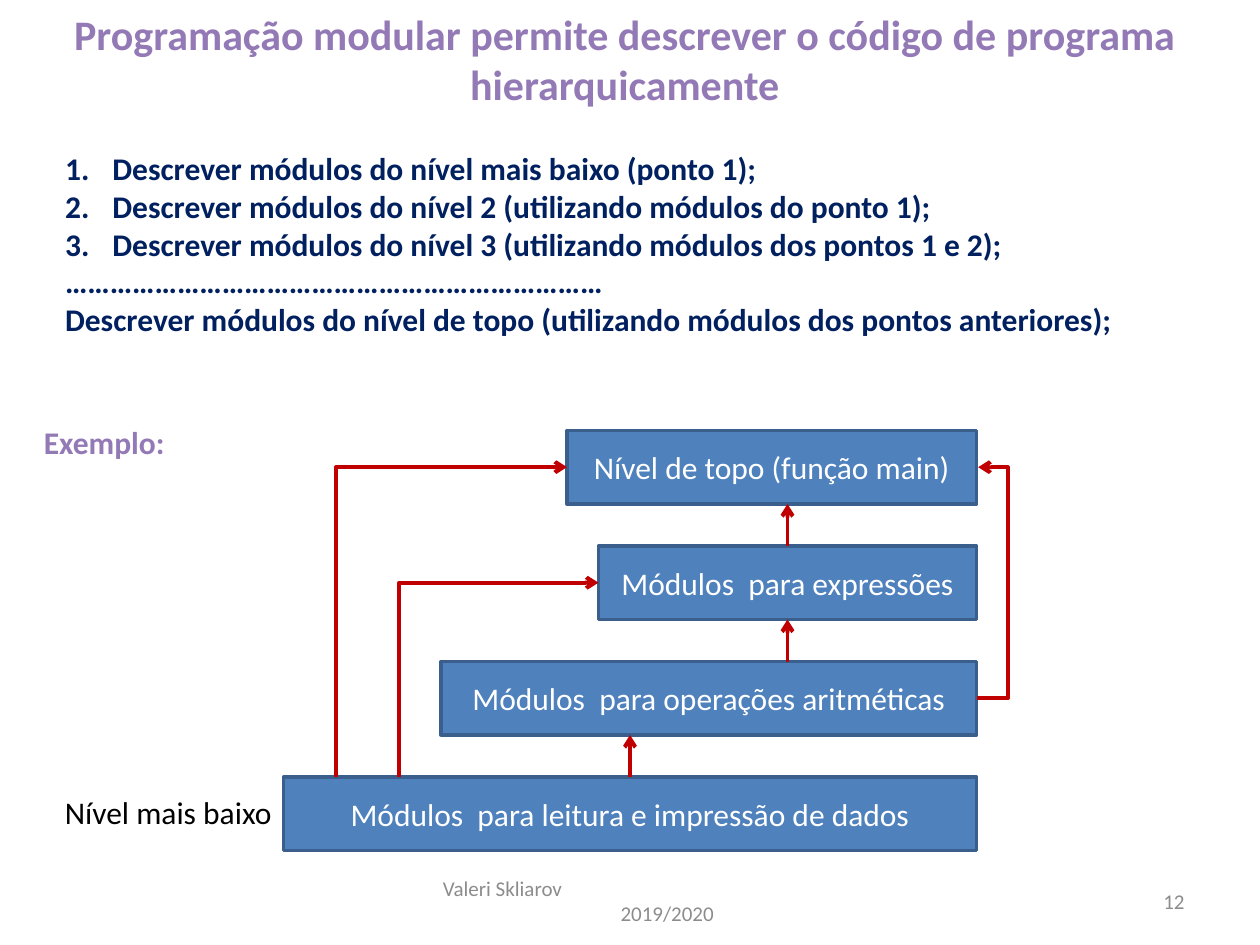
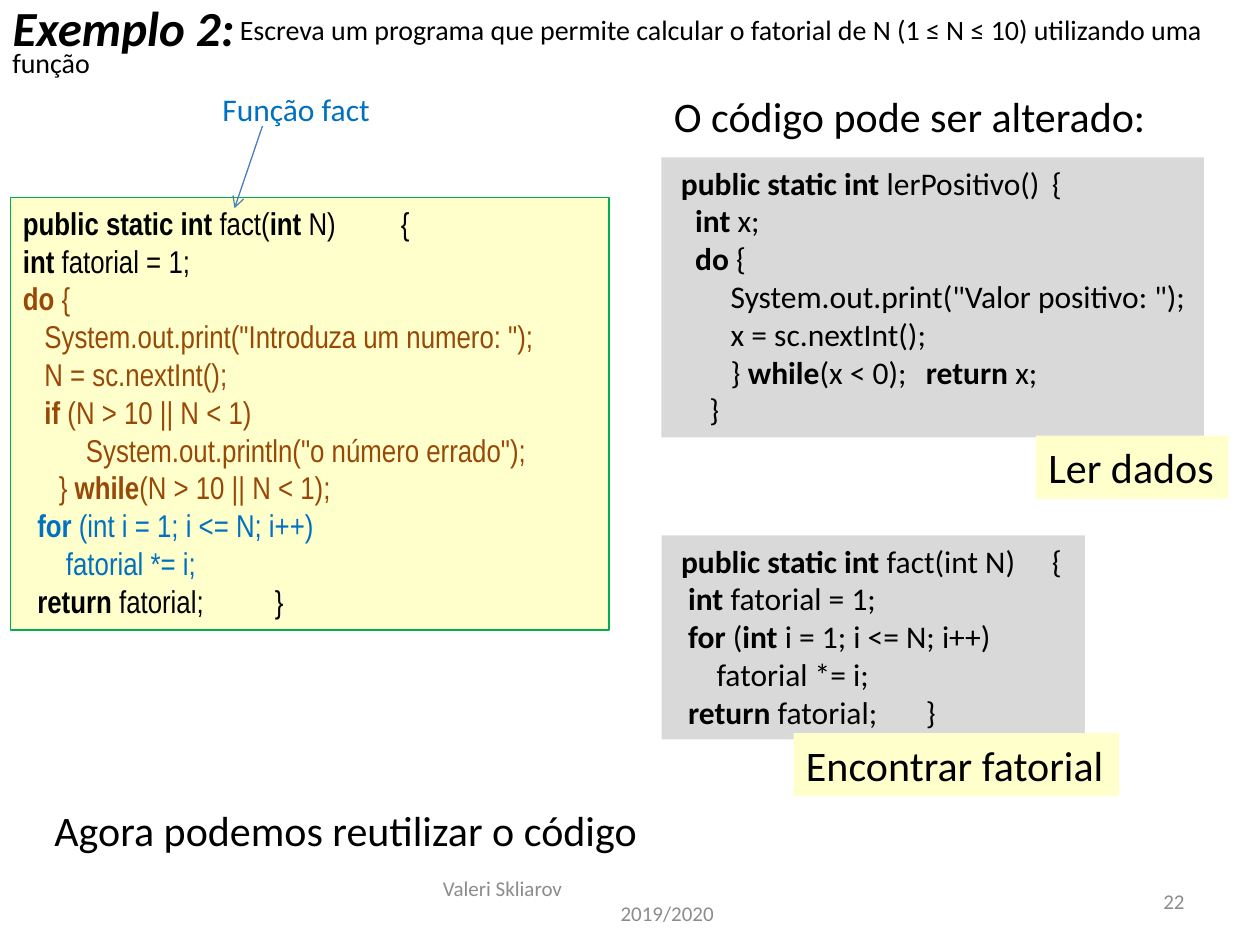
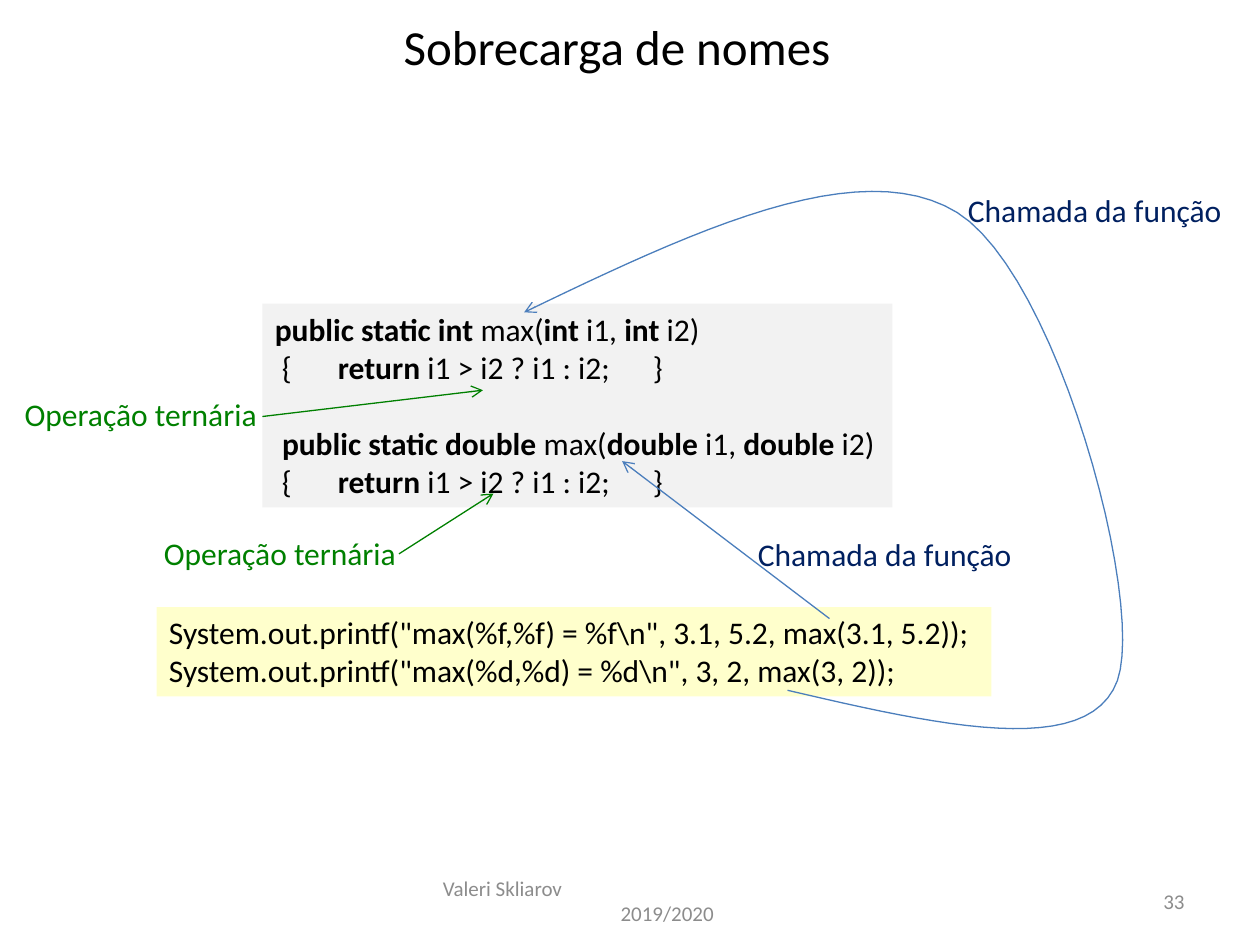
from lxml.etree import SubElement
from pptx import Presentation
from pptx.dml.color import RGBColor
from pptx.enum.shapes import MSO_CONNECTOR, MSO_SHAPE
from pptx.enum.text import MSO_ANCHOR, MSO_AUTO_SIZE, PP_ALIGN
from pptx.oxml.ns import qn
from pptx.util import Pt

BLACK = RGBColor(0x00, 0x00, 0x00)
WHITE = RGBColor(0xFF, 0xFF, 0xFF)
GREY = RGBColor(0x8C, 0x8C, 0x8C)
PURPLE = RGBColor(0x93, 0x79, 0xB5)
NAVY = RGBColor(0x00, 0x20, 0x60)
SKY = RGBColor(0x00, 0x70, 0xC0)
BROWN = RGBColor(0x98, 0x48, 0x07)
GREEN = RGBColor(0x00, 0x80, 0x00)
RED = RGBColor(0xC0, 0x00, 0x00)
ARROW_BLUE = RGBColor(0x4B, 0x7E, 0xBC)
MODULE_FILL = RGBColor(0x4F, 0x81, 0xBD)
MODULE_LINE = RGBColor(0x3A, 0x5F, 0x8C)
YELLOW = RGBColor(0xFF, 0xFF, 0xCC)
FRAME_GREEN = RGBColor(0x00, 0xB0, 0x50)
CODE_GREY = RGBColor(0xD9, 0xD9, 0xD9)
PALE_GREY = RGBColor(0xF2, 0xF2, 0xF2)

LIST_AND_TITLE, TITLE_ONLY = 1, 5
TEXT = {"name": "Calibri", "size": Pt(18), "bold": False, "italic": False}
BIG = {"size": Pt(24)}


def write_para(para, text, color=BLACK, align=PP_ALIGN.LEFT, before=0,
               margin=0, indent=0, numbered=False, tabs=(), **font_format):
    """Fill a paragraph; text between ** marks is bold."""
    properties = para._p.get_or_add_pPr()
    properties.set("marL", str(Pt(margin)))
    properties.set("indent", str(Pt(indent)))
    if numbered:
        SubElement(properties, qn("a:buAutoNum"), type="arabicPeriod")
    else:
        SubElement(properties, qn("a:buNone"))
    if tabs:
        tab_list = SubElement(properties, qn("a:tabLst"))
        for stop in tabs:
            SubElement(tab_list, qn("a:tab"), pos=str(Pt(stop)), algn="l")
    para.alignment = align
    para.space_before = Pt(before)
    values = {**TEXT, **font_format}
    for index, part in enumerate(text.split("**")):
        if part:
            span = para.add_run()
            span.text = part
            for key, value in values.items():
                setattr(span.font, key, value)
            span.font.bold = values["bold"] or index % 2 == 1
            span.font.color.rgb = color


def write_lines(box, lines, anchor=MSO_ANCHOR.TOP, **common):
    """Fill a box; a line is a text, or a text with its own format values."""
    frame = box.text_frame
    frame.word_wrap = True
    frame.auto_size = MSO_AUTO_SIZE.NONE
    frame.vertical_anchor = anchor
    for index, line in enumerate(lines):
        text, own = (line, {}) if isinstance(line, str) else line
        para = frame.add_paragraph() if index else frame.paragraphs[0]
        write_para(para, text, **{**common, **own})


def fill_placeholder(box, bounds, lines, **text_format):
    for side, value in zip(("left", "top", "width", "height"), bounds):
        setattr(box, side, Pt(value))
    write_lines(box, lines, **text_format)


def add_label(page, bounds, *lines, **text_format):
    box = page.shapes.add_textbox(*map(Pt, bounds))
    write_lines(box, lines, **text_format)


def add_panel(page, bounds, lines, fill, line=None, line_width=0.75, **text_format):
    box = page.shapes.add_shape(MSO_SHAPE.RECTANGLE, *map(Pt, bounds))
    box.shadow.inherit = False
    box.fill.solid()
    box.fill.fore_color.rgb = fill
    if line is None:
        box.line.fill.background()
    else:
        box.line.color.rgb = line
        box.line.width = Pt(line_width)
    write_lines(box, lines, **text_format)
    return box


def style_arrow(shape, color, width):
    shape.line.color.rgb = color
    shape.line.width = Pt(width)
    SubElement(shape.line._get_or_add_ln(), qn("a:tailEnd"), type="arrow")


def add_arrow(page, start, end, color, width=0.75, bend=None):
    """Draw a straight arrow, or an elbow whose bend is a share of its width."""
    kind = MSO_CONNECTOR.STRAIGHT if bend is None else MSO_CONNECTOR.ELBOW
    arrow = page.shapes.add_connector(kind, *map(Pt, start + end))
    style_arrow(arrow, color, width)
    properties = arrow._element.spPr
    SubElement(properties, qn("a:effectLst"))
    if bend is not None:
        guides = properties.find(qn("a:prstGeom")).get_or_add_avLst()
        SubElement(guides, qn("a:gd"), name="adj1", fmla=f"val {bend * 100000}")
    return arrow


def add_curved_arrow(page, start, curves, color, steps=24):
    """Draw cubic curves, each given as two control points and an end."""
    builder = page.shapes.build_freeform(*map(Pt, start))
    points = []
    for first, second, end in curves:
        for step in range(1, steps + 1):
            t = step / steps
            weights = ((1 - t) ** 3, 3 * t * (1 - t) ** 2, 3 * t * t * (1 - t), t ** 3)
            corners = (start, first, second, end)
            points.append(tuple(
                Pt(sum(weight * corner[axis] for weight, corner in zip(weights, corners)))
                for axis in (0, 1)))
        start = end
    builder.add_line_segments(points, close=False)
    curve = builder.convert_to_shape()
    curve.shadow.inherit = False
    curve.fill.background()
    style_arrow(curve, color, 0.75)


def add_page(deck, layout, number):
    """Add a slide with the common footer and its number."""
    page = deck.slides.add_slide(deck.slide_layouts[layout])
    small = {"size": Pt(12), "color": GREY, "anchor": MSO_ANCHOR.MIDDLE}
    add_label(page, (246, 500.5, 228, 28.75), "Valeri Skliarov",
              ("2019/2020", {"margin": 101.5}), **small)
    add_label(page, (516, 500.5, 168, 28.75), str(number), align=PP_ALIGN.RIGHT, **small)
    return page


def build_hierarchy(deck):
    page = add_page(deck, LIST_AND_TITLE, 12)
    fill_placeholder(page.shapes.title, (18, 1, 678, 65.5),
                     ["Programação modular permite descrever o código de programa hierarquicamente"],
                     color=PURPLE, bold=True, align=PP_ALIGN.CENTER, **BIG)
    numbered = {"numbered": True, "margin": 27, "indent": -27}
    fill_placeholder(page.placeholders[1], (30, 81.5, 678, 116.5), [
        ("Descrever módulos do nível mais baixo (ponto 1);", numbered),
        ("Descrever módulos do nível 2 (utilizando módulos do ponto 1);", numbered),
        ("Descrever módulos do nível 3 (utilizando módulos dos pontos 1 e 2);", numbered),
        "………………………………………………………………",
        "Descrever módulos do nível de topo (utilizando módulos dos pontos anteriores);",
    ], color=NAVY, bold=True)
    add_label(page, (18, 238, 150, 29), "Exemplo:", color=PURPLE, bold=True)
    add_label(page, (30, 449.5, 134, 29), "Nível mais baixo")

    right, first_top, step, height = 558, 246, 66, 42
    modules = [(324, "Nível de topo (função main)"),
               (342, "Módulos  para expressões"),
               (252, "Módulos  para operações aritméticas"),
               (162, "Módulos  para leitura e impressão de dados")]
    tops = [first_top + step * level for level in range(len(modules))]
    middles = [top + height / 2 for top in tops]
    boxes = [add_panel(page, (left, top, right - left, height), [text], MODULE_FILL,
                       MODULE_LINE, 2, color=WHITE, align=PP_ALIGN.CENTER,
                       anchor=MSO_ANCHOR.MIDDLE)
             for (left, text), top in zip(modules, tops)]
    topmost, expressions, arithmetic, lowest = range(4)

    def rise(x, level):
        return add_arrow(page, (x, tops[level]), (x, tops[level - 1] + height), RED, 2.25)

    rise(360, lowest).begin_connect(boxes[lowest], 0)
    rise(450, arithmetic).end_connect(boxes[expressions], 2)
    rise(450, expressions).begin_connect(boxes[expressions], 0)
    for x, level in ((228, expressions), (192, topmost)):
        add_arrow(page, (x, tops[lowest]), (modules[level][0], middles[level]), RED, 2.25, bend=0)
    add_arrow(page, (right, middles[arithmetic]), (right + 1, middles[topmost]),
              RED, 2.25, bend=18)


def build_factorial(deck):
    page = add_page(deck, TITLE_ONLY, 22)
    fill_placeholder(page.shapes.title, (0, -5, 143, 41), ["Exemplo 2:"],
                     size=Pt(28), bold=True, italic=True)
    add_label(page, (0, 3.5, 720, 46),
              "Escreva um programa que permite calcular o fatorial de N (1 ≤ N ≤ 10) "
              "utilizando uma função", size=Pt(16), indent=130)
    brown, blue = {"color": BROWN}, {"color": SKY}
    add_panel(page, (6, 113, 342, 247), [
        "**public static int **fact(**int** N) \t{",
        "**int **fatorial = 1;",
        ("**do** {", brown),
        ('   System.out.print("Introduza um numero: ");', brown),
        ("   N = sc.nextInt();", brown),
        ("  ** if **(N > 10 || N < 1)", brown),
        ('\tSystem.out.println("o número errado");', brown),
        ("     } **while**(N > 10 || N < 1);", brown),
        ("  **for **(int i = 1; i <= N; i++)", blue),
        ("      fatorial *= i;", blue),
        "  **return **fatorial;\t\t}",
    ], YELLOW, FRAME_GREEN, name="Arial Narrow", tabs=(72, 144, 216))
    add_label(page, (120, 48, 100, 29), "Função fact", color=SKY)
    add_arrow(page, (150, 72), (134, 119), ARROW_BLUE)

    add_label(page, (378, 48, 287, 36), "O código pode ser alterado:", **BIG)
    add_panel(page, (378, 90, 310, 160), [
        " **public static int **lerPositivo()\t{",
        "   **int** x;",
        "   **do** {",
        '        System.out.print("Valor positivo: ");',
        "        x = sc.nextInt();",
        "        } **while**(x < 0);\t**return** x;",
        "     }",
    ], CODE_GREY, tabs=(166, 229))
    add_panel(page, (592, 249, 110, 36), ["Ler dados"], YELLOW, **BIG)
    add_panel(page, (378, 306, 242, 116.5), [
        " **public static int** fact(int N)\t{",
        "  **int **fatorial = 1;",
        "  **for** (**int **i = 1; i <= N; i++)",
        "      fatorial *= i;",
        "  **return **fatorial;\t}",
    ], CODE_GREY, tabs=(210.5,))
    add_panel(page, (453.5, 419, 186, 36), ["Encontrar fatorial"], YELLOW, **BIG)
    add_label(page, (24, 456, 351, 36), "Agora podemos reutilizar o código", **BIG)


def build_overloading(deck):
    page = add_page(deck, TITLE_ONLY, 33)
    fill_placeholder(page.shapes.title, (75, 6, 555, 44), ["Sobrecarga de nomes"],
                     size=Pt(28), align=PP_ALIGN.CENTER)
    max_body = " {\t**return** i1 > i2 ? i1 : i2;\t}"
    add_panel(page, (150, 173.5, 360, 116.5), [
        "**public static int **max(**int** i1, **int** i2)",
        max_body,
        (" **public static double **max(**double** i1, **double** i2)", {"before": 22}),
        max_body,
    ], PALE_GREY, tabs=(22, 190))
    add_panel(page, (89.5, 347, 477, 51), [
        r'System.out.printf("max(%f,%f) = %f\n", 3.1, 5.2, max(3.1, 5.2));',
        r'System.out.printf("max(%d,%d) = %d\n", 3, 2, max(3, 2));',
    ], YELLOW)
    add_arrow(page, (474, 353.5), (355.5, 263.5), ARROW_BLUE)
    add_curved_arrow(page, (450, 394.5), [
        ((536, 414.5), (622, 434), (638.5, 389)),
        ((654.5, 343.5), (604, 157), (547, 121.5)),
        ((491, 87), (395, 132.5), (299.5, 178.5)),
    ], ARROW_BLUE)
    for left, top in ((426, 302), (546, 105.5)):
        add_label(page, (left, top, 166, 29), "Chamada da função", color=NAVY)
    for left, top, start, end in ((86.5, 301.5, (228, 316.5), (282, 282)),
                                  (7, 222, (150, 238), (276, 223))):
        add_label(page, (left, top, 149, 29), "Operação ternária", color=GREEN)
        add_arrow(page, start, end, GREEN)


def main():
    deck = Presentation()
    deck.slide_width, deck.slide_height = Pt(720), Pt(540)
    build_hierarchy(deck)
    build_factorial(deck)
    build_overloading(deck)
    deck.save("out.pptx")


if __name__ == "__main__":
    main()
